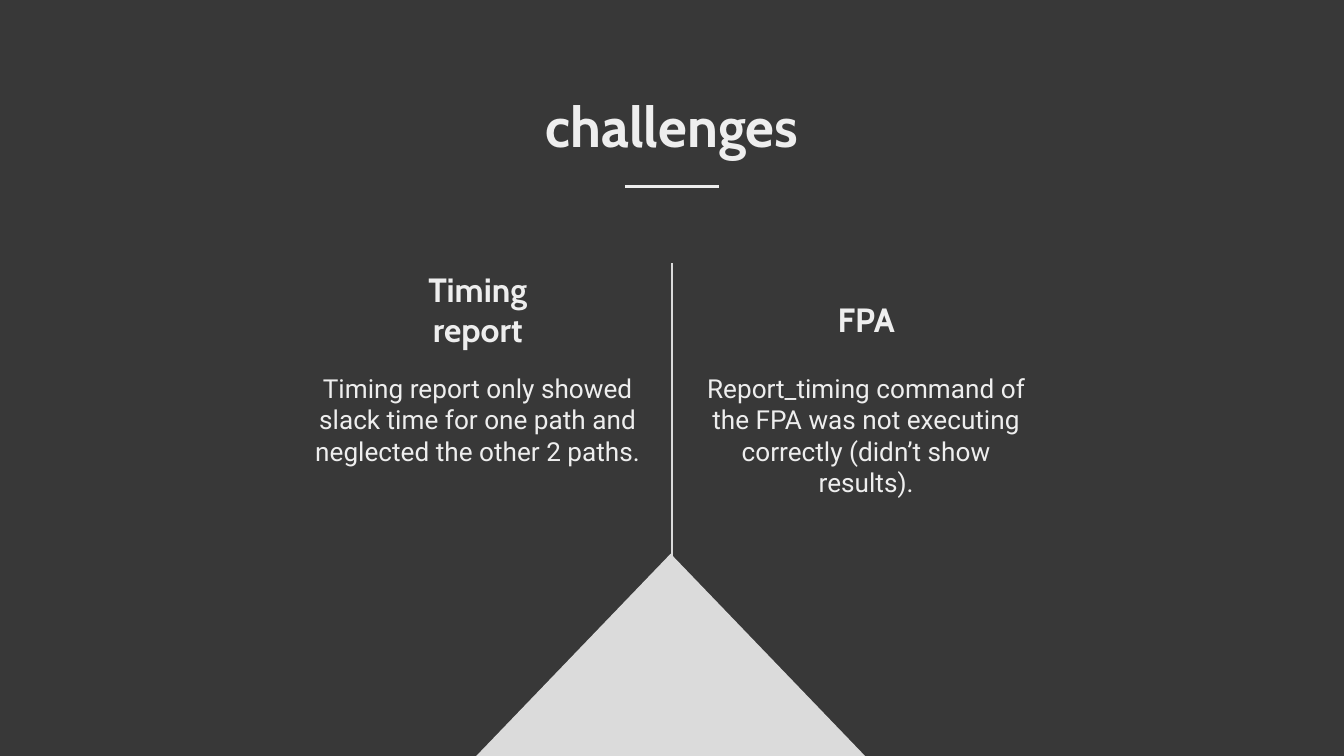
from lxml import etree
from pptx import Presentation
from pptx.dml.color import RGBColor
from pptx.enum import shapes, text
from pptx.oxml import ns
from pptx.util import Inches, Pt

# Content: wording and places in inches
TOP, MIDDLE = text.MSO_ANCHOR.TOP, text.MSO_ANCHOR.MIDDLE
BACKGROUND, LIGHT, GREY = "383838", "EEEEEE", "DBDBDB"
TITLE = ("challenges", (2.16, 0.58, 5.68, 0.58))
COLUMNS = [
    {"left": 2.23, "heading": "Timing report", "top": 2.01, "height": 0.58,
     "body": "Timing report only showed slack time for one path "
             "and neglected the other 2 paths."},
    {"left": 5.12, "heading": "FPA", "top": 2.15, "height": 0.45,
     "body": "Report_timing command of the FPA was not executing "
             "correctly (didn’t show results)."},
]
BODY_TOP, BODY_WIDTH, BODY_HEIGHT = 2.67, 2.65, 0.82
HEADING_WIDTH = 1.64
LINES = [  # start, end, colour
    ((5, 1.96), (5, 4.4), GREY),
    ((4.65, 1.39), (5.35, 1.39), LIGHT),
]


def colour(hex_value):
    return RGBColor.from_string(hex_value)


def fill_placeholder(shape, wording, box, font_name, size, bold, anchor):
    shape.left, shape.top, shape.width, shape.height = map(Inches, box)
    frame = shape.text_frame
    frame.word_wrap = True
    frame.auto_size = text.MSO_AUTO_SIZE.NONE
    frame.vertical_anchor = anchor
    frame.margin_left = frame.margin_right = Inches(0.1)
    frame.margin_top = frame.margin_bottom = Inches(0.1)
    paragraph = frame.paragraphs[0]
    paragraph.alignment = text.PP_ALIGN.CENTER
    paragraph.line_spacing = 1.0
    paragraph.space_before = paragraph.space_after = Pt(0)
    properties = paragraph._p.get_or_add_pPr()
    properties.set("marL", "0")
    properties.set("indent", "0")
    etree.SubElement(properties, ns.qn("a:buNone"))
    run = paragraph.add_run()
    run.text = wording
    run.font.name = font_name
    run.font.size = Pt(size)
    run.font.bold = bold
    run.font.color.rgb = colour(LIGHT)


def add_line(slide, start, end, line_colour):
    line = slide.shapes.add_connector(
        shapes.MSO_CONNECTOR.STRAIGHT, *map(Inches, start + end))
    line.line.color.rgb = colour(line_colour)
    line.line.width = Pt(1.5)
    etree.SubElement(line._element.spPr, ns.qn("a:effectLst"))


# 16:9 slide on the Comparison layout
presentation = Presentation()
presentation.slide_width = Inches(10)
presentation.slide_height = Inches(10 * 9 / 16)
slide = presentation.slides.add_slide(presentation.slide_layouts[4])
slide.background.fill.solid()
slide.background.fill.fore_color.rgb = colour(BACKGROUND)

# Title
fill_placeholder(slide.shapes.title, *TITLE, "Cabin", 30, True, TOP)

# Columns: each heading is centred over its body
for number, column in enumerate(COLUMNS):
    heading, body = (slide.placeholders[2 * number + k] for k in (1, 2))
    heading_left = column["left"] + (BODY_WIDTH - HEADING_WIDTH) / 2
    fill_placeholder(
        heading, column["heading"],
        (heading_left, column["top"], HEADING_WIDTH, column["height"]),
        "Cabin", 18, True, MIDDLE)
    fill_placeholder(
        body, column["body"],
        (column["left"], BODY_TOP, BODY_WIDTH, BODY_HEIGHT),
        "Roboto", 14, False, TOP)

# Triangle under the divider
triangle = slide.shapes.add_shape(
    shapes.MSO_SHAPE.ISOSCELES_TRIANGLE, *map(Inches, (3.5, 4.12, 2.98, 1.55)))
triangle.shadow.inherit = False
triangle.fill.solid()
triangle.fill.fore_color.rgb = colour(GREY)
triangle.line.fill.background()

# Divider and title rule
for start, end, line_colour in LINES:
    add_line(slide, start, end, line_colour)

presentation.save("out.pptx")
